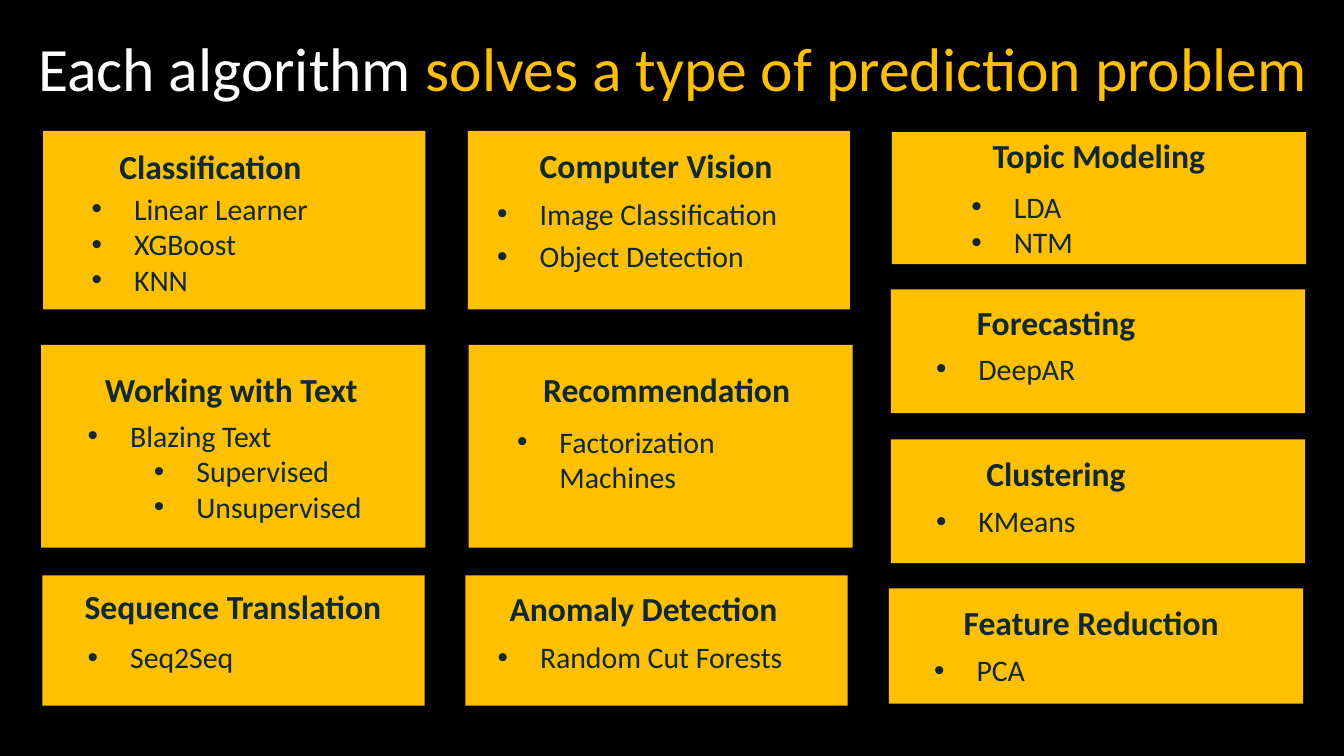
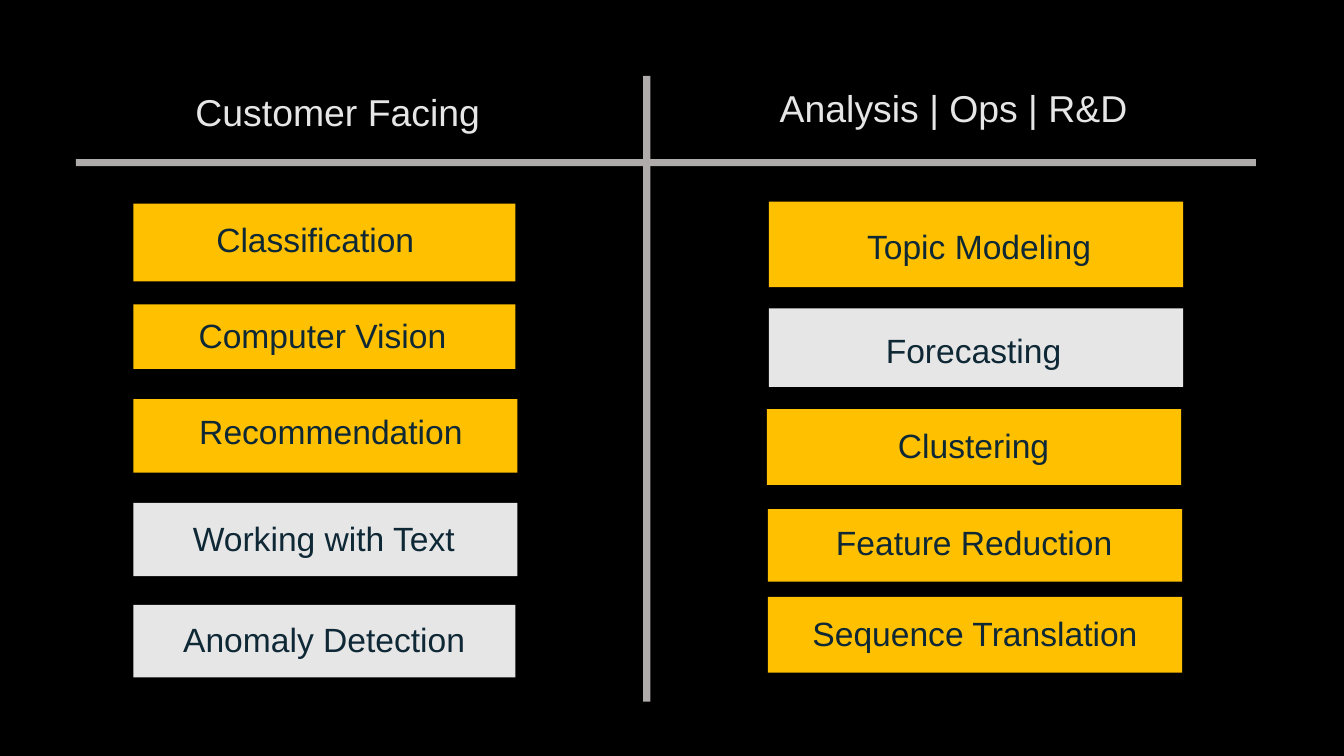
from typing import NamedTuple

from lxml.etree import SubElement
from pptx import Presentation
from pptx.dml.color import RGBColor
from pptx.enum.shapes import MSO_SHAPE
from pptx.enum.text import MSO_ANCHOR, MSO_AUTO_SIZE, PP_ALIGN
from pptx.oxml.ns import qn
from pptx.slide import Slide
from pptx.text.text import TextFrame, _Paragraph
from pptx.util import Cm, Pt

BLACK, WHITE, GOLD = "000000", "FFFFFF", "FFC000"
NAVY, PALE, GREY = "0E2836", "E7E6E6", "AFABAB"
SANS, ARIAL = "Calibri", "Arial"
HEAD, ITEM, TOPIC, TITLE = 24, 21.3, 26.7, 44
HANG = 1.07
INDENTS = (1.07, 2.74)


class Box(NamedTuple):
    left: float
    top: float
    width: float
    height: float


class Spot(NamedTuple):
    left: float
    top: float
    width: float


class Item(NamedTuple):
    text: str
    level: int = 0


class Card(NamedTuple):
    name: str
    box: Box
    head: Spot
    list: Spot
    items: list[Item]
    gap: float = 0


class Bar(NamedTuple):
    name: str
    box: Box
    label: Spot
    fill: str = GOLD


CARDS = [
    Card("Classification", Box(1.09, 3.3, 9.63, 4.5),
         Spot(2.08, 3.56, 6.45), Spot(2.06, 4.67, 7.82),
         [Item("Linear Learner"), Item("XGBoost"), Item("KNN")]),
    Card("Computer Vision", Box(11.79, 3.3, 9.63, 4.5),
         Spot(11.99, 3.53, 9.09), Spot(12.28, 4.8, 9.35),
         [Item("Image Classification"), Item("Object Detection")], 5),
    Card("Topic Modeling", Box(22.48, 3.33, 10.44, 3.33),
         Spot(22.4, 3.28, 10.59), Spot(24.23, 4.62, 6.43),
         [Item("LDA"), Item("NTM")]),
    Card("Working with Text", Box(1.04, 8.69, 9.68, 5.11),
         Spot(1.4, 9.17, 8.86), Spot(1.96, 10.39, 8.1),
         [Item("Blazing Text"), Item("Supervised", 1), Item("Unsupervised", 1)]),
    Card("Recommendation", Box(11.81, 8.69, 9.68, 5.11),
         Spot(12.7, 9.17, 8.2), Spot(12.78, 10.54, 6.71),
         [Item("Factorization Machines")]),
    Card("Forecasting", Box(22.45, 7.29, 10.44, 3.12),
         Spot(23.34, 7.49, 6.55), Spot(23.34, 8.71, 6.81),
         [Item("DeepAR")]),
    Card("Clustering", Box(22.45, 11.07, 10.44, 3.12),
         Spot(23.34, 11.28, 6.55), Spot(23.34, 12.55, 6.81),
         [Item("KMeans")]),
    Card("Sequence Translation", Box(1.07, 14.5, 9.63, 3.28),
         Spot(0.64, 14.63, 10.46), Spot(1.96, 15.98, 6.81),
         [Item("Seq2Seq")]),
    Card("Anomaly Detection", Box(11.73, 14.5, 9.63, 3.28),
         Spot(11.89, 14.68, 8.66), Spot(12.29, 15.98, 8.81),
         [Item("Random Cut Forests")]),
    Card("Feature Reduction", Box(22.4, 14.83, 10.44, 2.9),
         Spot(23.27, 15.04, 8.46), Spot(23.29, 16.31, 6.81),
         [Item("PCA")]),
]

BARS = [
    Bar("Classification", Box(3.36, 5.13, 9.63, 1.96), Spot(4.72, 5.38, 6.45)),
    Bar("Computer Vision", Box(3.36, 7.67, 9.63, 1.63), Spot(3.58, 7.8, 9.09)),
    Bar("Recommendation", Box(3.36, 10.06, 9.68, 1.85), Spot(4.24, 10.24, 8.2)),
    Bar("Working with Text", Box(3.36, 12.67, 9.68, 1.85),
        Spot(3.73, 12.93, 8.86), PALE),
    Bar("Anomaly Detection", Box(3.36, 15.24, 9.63, 1.83),
        Spot(3.84, 15.47, 8.66), PALE),
    Bar("Topic Modeling", Box(19.38, 5.08, 10.44, 2.16), Spot(19.38, 5.56, 10.59)),
    Bar("Forecasting", Box(19.38, 7.77, 10.44, 1.98),
        Spot(21.26, 8.2, 6.55), PALE),
    Bar("Clustering", Box(19.33, 10.31, 10.44, 1.91), Spot(21.26, 10.57, 6.55)),
    Bar("Feature Reduction", Box(19.35, 12.83, 10.44, 1.83),
        Spot(20.32, 13.03, 8.46)),
    Bar("Sequence Translation", Box(19.35, 15.04, 10.44, 1.91),
        Spot(19.35, 15.32, 10.44)),
]

TOPICS = [
    ("Customer Facing", Spot(2.74, 2.11, 11.56)),
    ("Analysis | Ops | R&D", Spot(18.26, 2.03, 11.56)),
]
RULES = [Box(1.91, 4.01, 29.74, 0.18), Box(16.21, 1.91, 0.18, 15.77)]


def tint(code: str) -> RGBColor:
    return RGBColor.from_string(code)


def add_rect(slide: Slide, box: Box, fill: str) -> None:
    rect = slide.shapes.add_shape(MSO_SHAPE.RECTANGLE, *map(Cm, box))
    rect.shadow.inherit = False
    rect.fill.solid()
    rect.fill.fore_color.rgb = tint(fill)
    rect.line.fill.background()


def add_frame(slide: Slide, box: Box, grow: bool = True) -> TextFrame:
    frame = slide.shapes.add_textbox(*map(Cm, box)).text_frame
    frame.word_wrap = True
    frame.auto_size = MSO_AUTO_SIZE.SHAPE_TO_FIT_TEXT if grow else MSO_AUTO_SIZE.NONE
    return frame


def add_run(para: _Paragraph, text: str, size: float, font: str,
            color: str, bold: bool = False) -> None:
    run = para.add_run()
    run.text = text
    run.font.size = Pt(size)
    run.font.name = font
    run.font.bold = bold
    run.font.color.rgb = tint(color)


def add_label(slide: Slide, text: str, spot: Spot, size: float, font: str,
              color: str, bold: bool = False) -> None:
    para = add_frame(slide, Box(*spot, 1.27)).paragraphs[0]
    para.alignment = PP_ALIGN.CENTER
    add_run(para, text, size, font, color, bold)


def add_dot(para: _Paragraph, level: int) -> None:
    para.level = level
    props = para._p.get_or_add_pPr()
    props.set("marL", str(Cm(INDENTS[level])))
    props.set("indent", str(-Cm(HANG)))
    SubElement(props, qn("a:buFont"), typeface=ARIAL)
    SubElement(props, qn("a:buChar"), char="•")


def add_list(slide: Slide, card: Card) -> None:
    frame = add_frame(slide, Box(*card.list, 0.25 + 0.91 * len(card.items)))
    for index, item in enumerate(card.items):
        para = frame.add_paragraph() if index else frame.paragraphs[0]
        add_dot(para, item.level)
        if index:
            para.space_before = Pt(card.gap)
        add_run(para, item.text, ITEM, SANS, NAVY)


def add_title(slide: Slide, parts: list[tuple[str, str]]) -> None:
    frame = add_frame(slide, Box(0.71, 0.79, 32.61, 2.01), grow=False)
    frame.vertical_anchor = MSO_ANCHOR.MIDDLE
    para = frame.paragraphs[0]
    para.line_spacing = 0.9
    for text, color in parts:
        add_run(para, text, TITLE, SANS, color)


def add_slide(deck: Presentation) -> Slide:
    slide = deck.slides.add_slide(deck.slide_layouts[6])
    slide.background.fill.solid()
    slide.background.fill.fore_color.rgb = tint(BLACK)
    return slide


def draw_cards(slide: Slide) -> None:
    add_title(slide, [("Each algorithm ", WHITE),
                      ("solves a type of prediction problem", GOLD)])
    for card in CARDS:
        add_rect(slide, card.box, GOLD)
        add_label(slide, card.name, card.head, HEAD, SANS, NAVY, bold=True)
        add_list(slide, card)


def draw_bars(slide: Slide) -> None:
    for rule in RULES:
        add_rect(slide, rule, GREY)
    for text, spot in TOPICS:
        add_label(slide, text, spot, TOPIC, ARIAL, PALE)
    for bar in BARS:
        add_rect(slide, bar.box, bar.fill)
        add_label(slide, bar.name, bar.label, HEAD, ARIAL, NAVY)


def main() -> None:
    deck = Presentation()
    deck.slide_width, deck.slide_height = Cm(33.87), Cm(19.05)
    draw_cards(add_slide(deck))
    draw_bars(add_slide(deck))
    deck.save("out.pptx")


if __name__ == "__main__":
    main()
